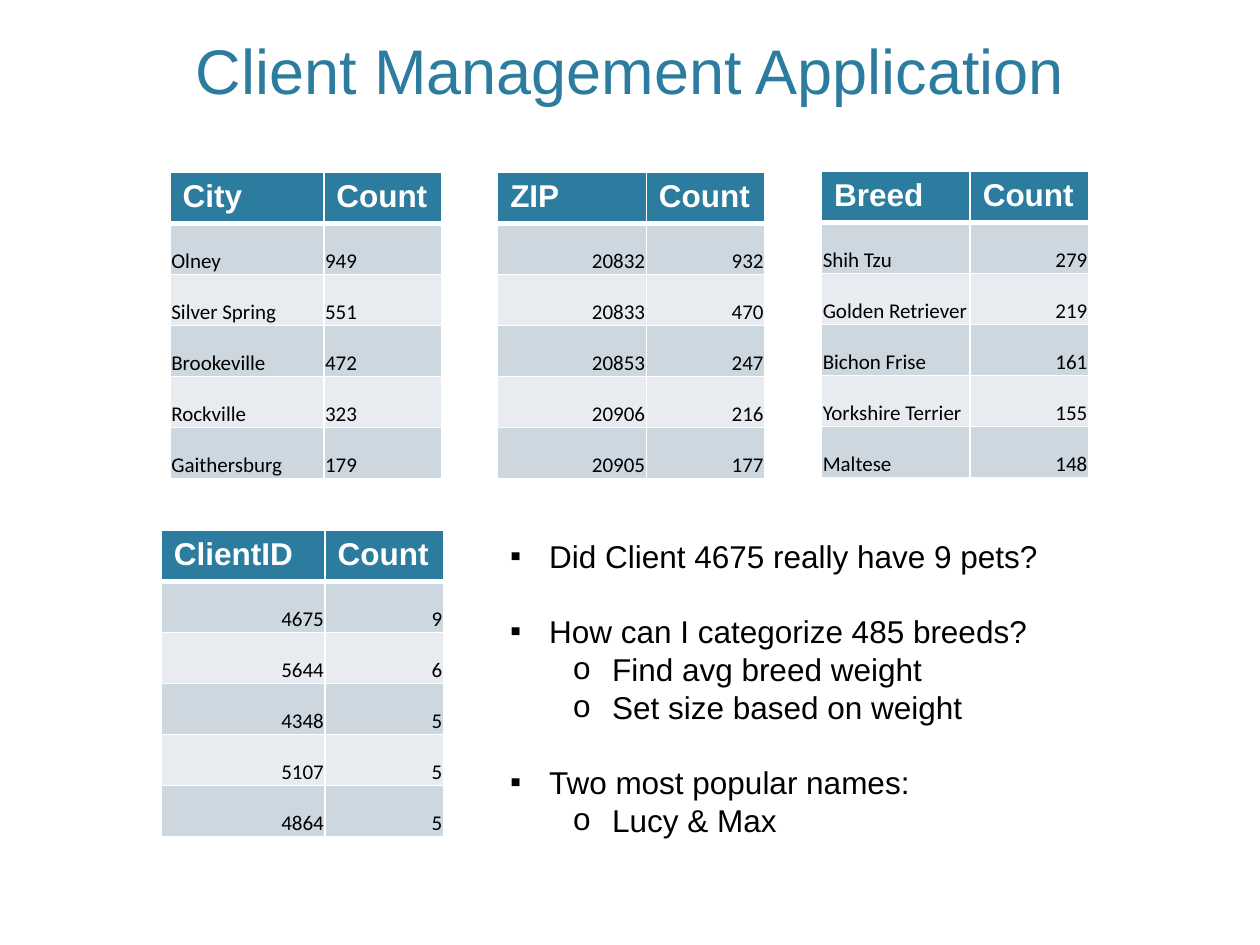
from lxml import etree
from pptx import Presentation
from pptx import util as u
from pptx.dml import color
from pptx.enum import text
from pptx.oxml import ns

HUES = {"teal": "2C7C9F", "odd": "CDD7DF", "even": "E8ECF0",
        "white": "FFFFFF", "black": "000000"}
ALIGN = {"l": text.PP_ALIGN.LEFT, "r": text.PP_ALIGN.RIGHT,
         "c": text.PP_ALIGN.CENTER}
HEAD = {"size": u.Pt(18), "name": "Arial", "bold": True}
BODY = {"size": u.Pt(12), "name": "Calibri", "bold": False}
NOTE = {"size": u.Pt(18), "name": "Arial"}
TITLE = {"size": u.Pt(36), "name": "Arial"}
INSET = {"margin_left": u.Inches(0.01), "margin_right": u.Inches(0.01),
         "margin_top": u.Inches(0.01), "margin_bottom": 0,
         "vertical_anchor": text.MSO_ANCHOR.BOTTOM}
ROW, COUNT = 0.405, 0.94

# left, top, first column width, alignment of both columns, rows
TABLES = [
    (1.35, 1.37, 1.22, "ll", [
        ("City", "Count"), ("Olney", "949"), ("Silver Spring", "551"),
        ("Brookeville", "472"), ("Rockville", "323"),
        ("Gaithersburg", "179")]),
    (3.95, 1.37, 1.18, "rr", [
        ("ZIP", "Count"), ("20832", "932"), ("20833", "470"),
        ("20853", "247"), ("20906", "216"), ("20905", "177")]),
    (6.52, 1.36, 1.18, "lr", [
        ("Breed", "Count"), ("Shih Tzu", "279"),
        ("Golden Retriever", "219"), ("Bichon Frise", "161"),
        ("Yorkshire Terrier", "155"), ("Maltese", "148")]),
    (1.28, 4.21, 1.3, "rr", [
        ("ClientID", "Count"), ("4675", "9"), ("5644", "6"),
        ("4348", "5"), ("5107", "5"), ("4864", "5")]),
]
# level, words
NOTES = [
    (0, "Did Client 4675 really have 9 pets?"),
    (0, "How can I categorize 485 breeds?"),
    (1, "Find avg breed weight"),
    (1, "Set size based on weight"),
    (0, "Two most popular names:"),
    (1, "Lucy & Max"),
]


def apply(item, form):
    for key, value in form.items():
        setattr(item, key, value)


def write(para, words, form, hue, align="l"):
    run = para.add_run()
    run.text = words
    apply(run.font, form)
    run.font.color.rgb = color.RGBColor.from_string(HUES[hue])
    para.alignment = ALIGN[align]


def add_box(slide, left, top, width, height):
    box = slide.shapes.add_textbox(*map(u.Inches, (left, top, width, height)))
    box.text_frame.word_wrap = True
    return box.text_frame


def edge(cell, row):
    """Draw white cell borders, with a thick one below the heading."""
    props = cell._tc.get_or_add_tcPr()
    for side in "LRTB":
        thick = (row, side) in ((0, "B"), (1, "T"))
        line = etree.SubElement(props, ns.qn(f"a:ln{side}"),
                                w=str(u.Pt(3 if thick else 1)))
        fill = etree.SubElement(line, ns.qn("a:solidFill"))
        etree.SubElement(fill, ns.qn("a:srgbClr"), val=HUES["white"])


def add_title(slide, left, top, width, height):
    frame = add_box(slide, left, top, width, height)
    frame.vertical_anchor = text.MSO_ANCHOR.BOTTOM
    write(frame.paragraphs[0], "Client Management Application",
          TITLE, "teal", "c")


def add_counts(slide, left, top, first, aligns, rows):
    table = slide.shapes.add_table(
        len(rows), 2, u.Inches(left), u.Inches(top),
        u.Inches(first + COUNT), u.Inches(ROW * len(rows))).table
    table.horz_banding = False
    for col, width in zip(table.columns, (first, COUNT)):
        col.width = u.Inches(width)
    for r, row in enumerate(rows):
        table.rows[r].height = u.Inches(ROW)
        for c, words in enumerate(row):
            cell = table.cell(r, c)
            edge(cell, r)
            cell.fill.solid()
            hue = "teal" if r == 0 else "odd" if r % 2 else "even"
            cell.fill.fore_color.rgb = color.RGBColor.from_string(HUES[hue])
            para = cell.text_frame.paragraphs[0]
            if r == 0:
                write(para, words, HEAD, "white")
            else:
                apply(cell, INSET)
                write(para, words, BODY, "black", aligns[c])


def add_notes(slide, left, top, width, height):
    frame = add_box(slide, left, top, width, height)
    for i, (level, words) in enumerate(NOTES):
        para = frame.paragraphs[0] if i == 0 else frame.add_paragraph()
        write(para, words, NOTE, "black")
        para.level = level
        if i and level == 0:
            para.space_before = u.Pt(21.5)
        props = para._p.get_or_add_pPr()
        props.set("marL", str(u.Inches(0.31 + 0.5 * level)))
        props.set("indent", str(u.Inches(-0.31)))
        etree.SubElement(props, ns.qn("a:buFont"), typeface="Arial")
        etree.SubElement(props, ns.qn("a:buChar"), char="▪o"[level])


def main():
    deck = Presentation()
    deck.slide_width, deck.slide_height = u.Inches(10), u.Inches(7.5)
    slide = deck.slides.add_slide(deck.slide_layouts[6])
    add_title(slide, 0.6, 0.12, 8.8, 0.78)
    for table in TABLES:
        add_counts(slide, *table)
    add_notes(slide, 3.95, 4.21, 5.03, 2.83)
    deck.save("out.pptx")


if __name__ == "__main__":
    main()
